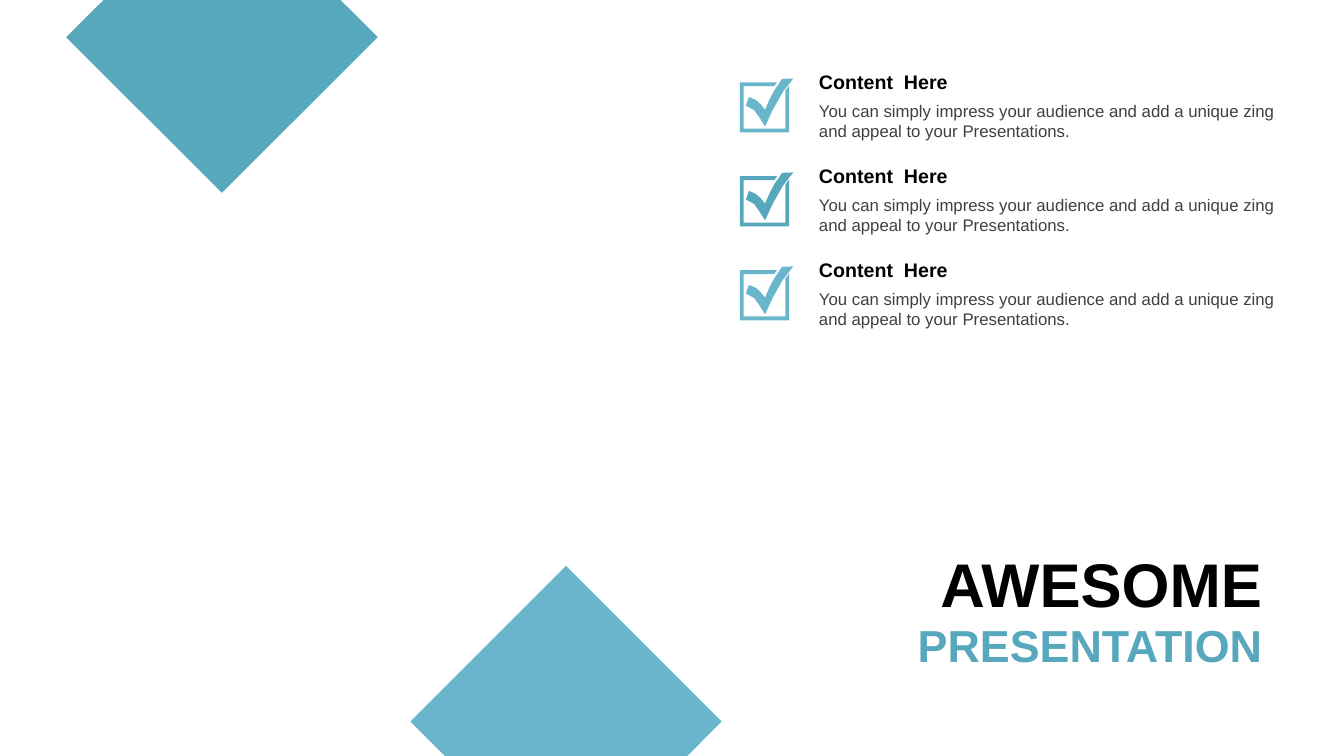
from dataclasses import dataclass
from typing import Any, NamedTuple

import pptx
import pptx.dml.color
import pptx.enum.text
import pptx.util

Pt = pptx.util.Pt
Align = pptx.enum.text.PP_ALIGN
Anchor = pptx.enum.text.MSO_ANCHOR
Point = tuple[float, float]


@dataclass(frozen=True)
class Theme:
    font: str = "Arial"
    black: str = "000000"
    grey: str = "404040"
    teal: str = "57A7BD"
    sky: str = "69B6CC"
    title: int = 44
    subtitle: int = 32
    heading: int = 14
    body: int = 12


class Label(NamedTuple):
    text: str
    x: float
    y: float
    w: float
    h: float
    size: int
    color: str
    bold: bool = True
    align: Any = Align.LEFT
    anchor: Any = Anchor.MIDDLE


class Outline(NamedTuple):
    contours: list[list[Point]]
    color: str


class Item(NamedTuple):
    heading: str
    body: str
    color: str


THEME = Theme()
BODY = ("You can simply impress your audience and add a unique zing "
        "and appeal to your Presentations.")
ITEMS = [Item("Content  Here", BODY, c) for c in (THEME.sky, THEME.teal, THEME.sky)]
ITEM_X, ITEM_Y, ITEM_W, ITEM_PITCH = 577.9, 46.3, 347, 67.1
CHECK_X, CHECK_Y = 528.5, 56.1

TITLES = [
    Label("AWESOME", 638.8, 386.2, 270, 60.6, THEME.title, THEME.black, align=Align.RIGHT),
    Label("PRESENTATION", 638.8, 437.3, 270, 46, THEME.subtitle, THEME.teal, align=Align.RIGHT),
]

# Diamonds cut by the slide edges
DIAMONDS = [
    Outline([[(74, 0), (243.2, 0), (269.8, 26.6), (158.5, 137.7), (47.2, 26.6)]], THEME.teal),
    Outline([[(404.3, 404.2), (515.5, 515.4), (491, 540), (317.8, 540), (293.2, 515.4)]],
            THEME.sky),
]


def curve(a: Point, b: Point, c: Point, d: Point, steps: int = 3) -> list[Point]:
    """Points along a cubic Bezier curve, after a and up to d."""
    def blend(i: int, t: float) -> float:
        u = 1 - t
        return u**3 * a[i] + 3 * u * u * t * b[i] + 3 * u * t * t * c[i] + t**3 * d[i]

    return [(blend(0, n / steps), blend(1, n / steps)) for n in range(1, steps + 1)]


# Check box: an open frame and a tick
FRAME = [(0, 2.7), (26.6, 2.7), (24.5, 5.5), (2.7, 5.5), (2.7, 35.8), (32.5, 35.8),
         (32.5, 8.8), (35.3, 4.9), (35.3, 38.5), (0, 38.5)]
TICK = [
    (38.2, 0),
    *curve((38.2, 0), (31, 6.9), (23, 22.5), (18, 34.3)),
    *curve((18, 34.3), (14.4, 29.6), (11.5, 20.2), (4.3, 19.4)),
    (6.5, 13.2),
    *curve((6.5, 13.2), (13, 15.1), (14.4, 18), (18, 22.3)),
    *curve((18, 22.3), (21.6, 13.9), (23, 10.1), (30.2, 0.3)),
]


def rgb(color: str) -> pptx.dml.color.RGBColor:
    return pptx.dml.color.RGBColor.from_string(color)


def draw_outline(shapes: Any, outline: Outline, x: float = 0, y: float = 0) -> None:
    contours = [[(Pt(x + px), Pt(y + py)) for px, py in c] for c in outline.contours]
    first, *rest = contours
    builder = shapes.build_freeform(*first[0])
    builder.add_line_segments(first[1:], close=True)
    for contour in rest:
        builder.move_to(*contour[0])
        builder.add_line_segments(contour[1:], close=True)
    sp = builder.convert_to_shape()
    sp.shadow.inherit = False
    sp.fill.solid()
    sp.fill.fore_color.rgb = rgb(outline.color)
    sp.line.fill.background()


def draw_label(shapes: Any, label: Label) -> None:
    sp = shapes.add_textbox(Pt(label.x), Pt(label.y), Pt(label.w), Pt(label.h))
    tf = sp.text_frame
    tf.word_wrap = True
    tf.auto_size = pptx.enum.text.MSO_AUTO_SIZE.SHAPE_TO_FIT_TEXT
    tf.vertical_anchor = label.anchor
    tf.text = label.text
    p = tf.paragraphs[0]
    p.alignment = label.align
    font = p.runs[0].font
    font.name = THEME.font
    font.size = Pt(label.size)
    font.bold = label.bold
    font.color.rgb = rgb(label.color)


def draw_item(shapes: Any, item: Item, row: int) -> None:
    shift = row * ITEM_PITCH
    y = ITEM_Y + shift
    group = shapes.add_group_shape()
    draw_label(group.shapes, Label(item.body, ITEM_X, y + 22, ITEM_W, 36.3, THEME.body,
                                   THEME.grey, bold=False, anchor=Anchor.TOP))
    draw_label(group.shapes, Label(item.heading, ITEM_X, y, ITEM_W, 24.2, THEME.heading,
                                   THEME.black))
    draw_outline(shapes, Outline([FRAME, TICK], item.color), CHECK_X, CHECK_Y + shift)


def main() -> None:
    prs = pptx.Presentation()
    prs.slide_width, prs.slide_height = Pt(960), Pt(540)
    s = prs.slides.add_slide(prs.slide_layouts[6])

    # Checklist
    for row, item in enumerate(ITEMS):
        draw_item(s.shapes, item, row)

    # Title
    for label in TITLES:
        draw_label(s.shapes, label)

    # Decoration
    for diamond in DIAMONDS:
        draw_outline(s.shapes, diamond)

    prs.save("out.pptx")


if __name__ == "__main__":
    main()
